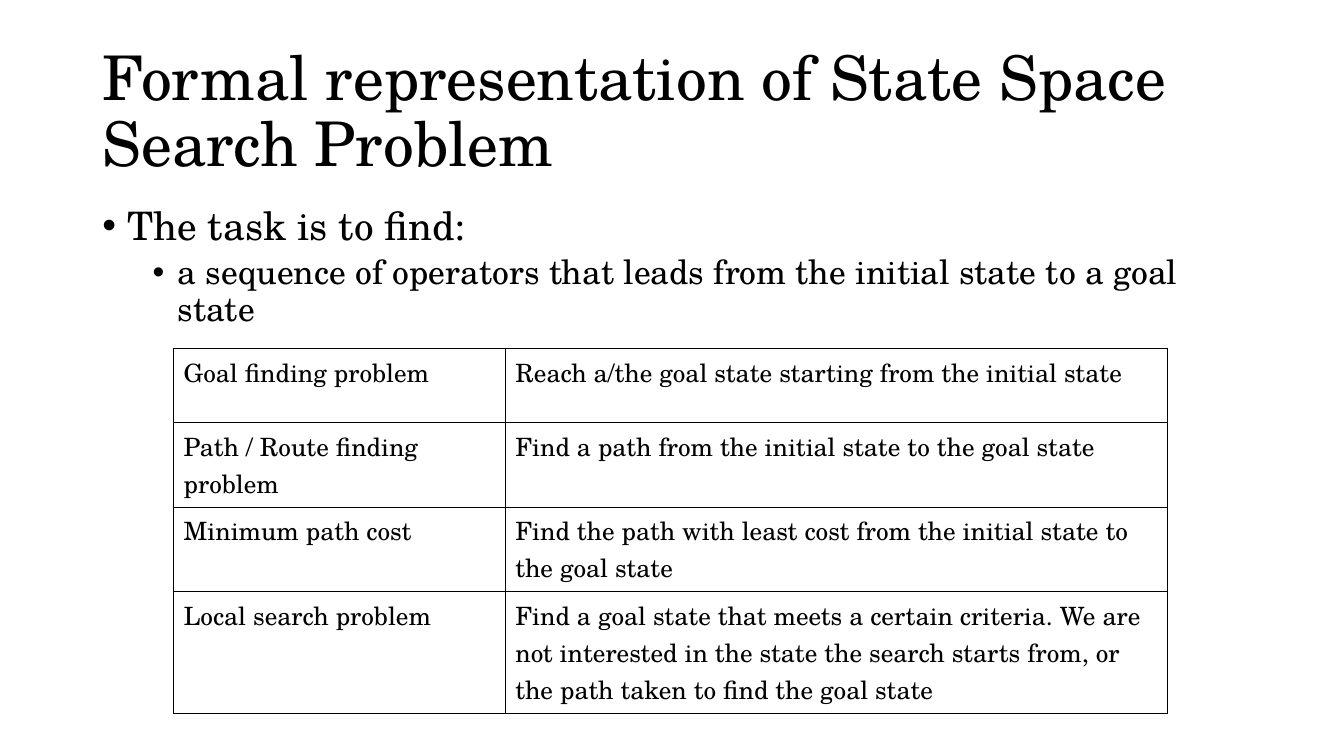
import pptx
import pptx.util
import pptx.dml.color
import pptx.enum.text
import pptx.oxml
import pptx.oxml.ns
from dataclasses import dataclass

Pt = pptx.util.Pt

# Content
HEADING = "Formal representation of State Space Search Problem"
TASK = [
    (0, "The task is to find:"),
    (1, "a sequence of operators that leads from the initial state to a goal state"),
]
PROBLEMS = [
    ("Goal finding problem", "Reach a/the goal state starting from the initial state"),
    ("Path / Route finding problem", "Find a path from the initial state to the goal state"),
    ("Minimum path cost",
     "Find the path with least cost from the initial state to the goal state"),
    ("Local search problem",
     "Find a goal state that meets a certain criteria. We are not interested in the "
     "state the search starts from, or the path taken to find the goal state"),
]


@dataclass(frozen=True)
class Theme:
    font: str = "TeX Gyre Schola"
    ink: str = "000000"
    heading: int = 44
    levels: tuple = (28, 24)
    table: int = 18
    tight: float = 0.9
    table_line: float = 26.5
    border: int = 1


THEME = Theme()

# Layout in points
SLIDE = (960, 540)
HEADING_BOX = (66, 28.8, 828, 104.4)
TASK_BOX = (66, 144, 828, 100)
TABLE_LEFT, TABLE_TOP = 124, 249
COLUMNS = (237, 473)
ROWS = (53, 60, 60, 87)
HANGING, LEVEL_STEP = 18, 36
SPACE_BEFORE = (0, 5)


def style(paragraph, size, spacing):
    paragraph.line_spacing = spacing
    paragraph.alignment = pptx.enum.text.PP_ALIGN.LEFT
    for run in paragraph.runs:
        run.font.name = THEME.font
        run.font.size = Pt(size)
        run.font.color.rgb = pptx.dml.color.RGBColor.from_string(THEME.ink)


def add_bullet(paragraph, level):
    properties = paragraph._p.get_or_add_pPr()
    properties.set("marL", str(Pt(HANGING + level * LEVEL_STEP)))
    properties.set("indent", str(-Pt(HANGING)))
    for tag, attribute, value in (("buFont", "typeface", "Arial"), ("buChar", "char", "•")):
        properties.append(pptx.oxml.parse_xml(
            f'<a:{tag} {pptx.oxml.ns.nsdecls("a")} {attribute}="{value}"/>'))


def add_borders(cell):
    properties = cell._tc.get_or_add_tcPr()
    for position, side in enumerate("LRTB"):
        properties.insert(position, pptx.oxml.parse_xml(
            f'<a:ln{side} {pptx.oxml.ns.nsdecls("a")} w="{Pt(THEME.border)}">'
            f'<a:solidFill><a:srgbClr val="{THEME.ink}"/></a:solidFill></a:ln{side}>'))


def main():
    deck = pptx.Presentation()
    deck.slide_width, deck.slide_height = map(Pt, SLIDE)
    slide = deck.slides.add_slide(deck.slide_layouts[5])

    # Title
    heading = slide.shapes.title
    heading.left, heading.top, heading.width, heading.height = map(Pt, HEADING_BOX)
    heading.text_frame.text = HEADING
    heading.text_frame.word_wrap = True
    heading.text_frame.auto_size = pptx.enum.text.MSO_AUTO_SIZE.NONE
    heading.text_frame.vertical_anchor = pptx.enum.text.MSO_ANCHOR.MIDDLE
    style(heading.text_frame.paragraphs[0], THEME.heading, THEME.tight)

    # Task bullets
    task = slide.shapes.add_textbox(*map(Pt, TASK_BOX)).text_frame
    task.word_wrap = True
    task.text = "\n".join(text for _, text in TASK)
    for paragraph, (level, _) in zip(task.paragraphs, TASK):
        paragraph.level = level
        add_bullet(paragraph, level)
        paragraph.space_before = Pt(SPACE_BEFORE[level])
        style(paragraph, THEME.levels[level], THEME.tight)

    # Problem table
    problems = slide.shapes.add_table(
        len(ROWS), len(COLUMNS), Pt(TABLE_LEFT), Pt(TABLE_TOP),
        Pt(sum(COLUMNS)), Pt(sum(ROWS))).table
    problems.first_row = problems.horz_banding = False
    for column, width in zip(problems.columns, COLUMNS):
        column.width = Pt(width)
    for row, height, texts in zip(problems.rows, ROWS, PROBLEMS):
        row.height = Pt(height)
        for cell, text in zip(row.cells, texts):
            cell.text_frame.text = text
            cell.fill.background()
            add_borders(cell)
            style(cell.text_frame.paragraphs[0], THEME.table, Pt(THEME.table_line))

    deck.save("out.pptx")


if __name__ == "__main__":
    main()
